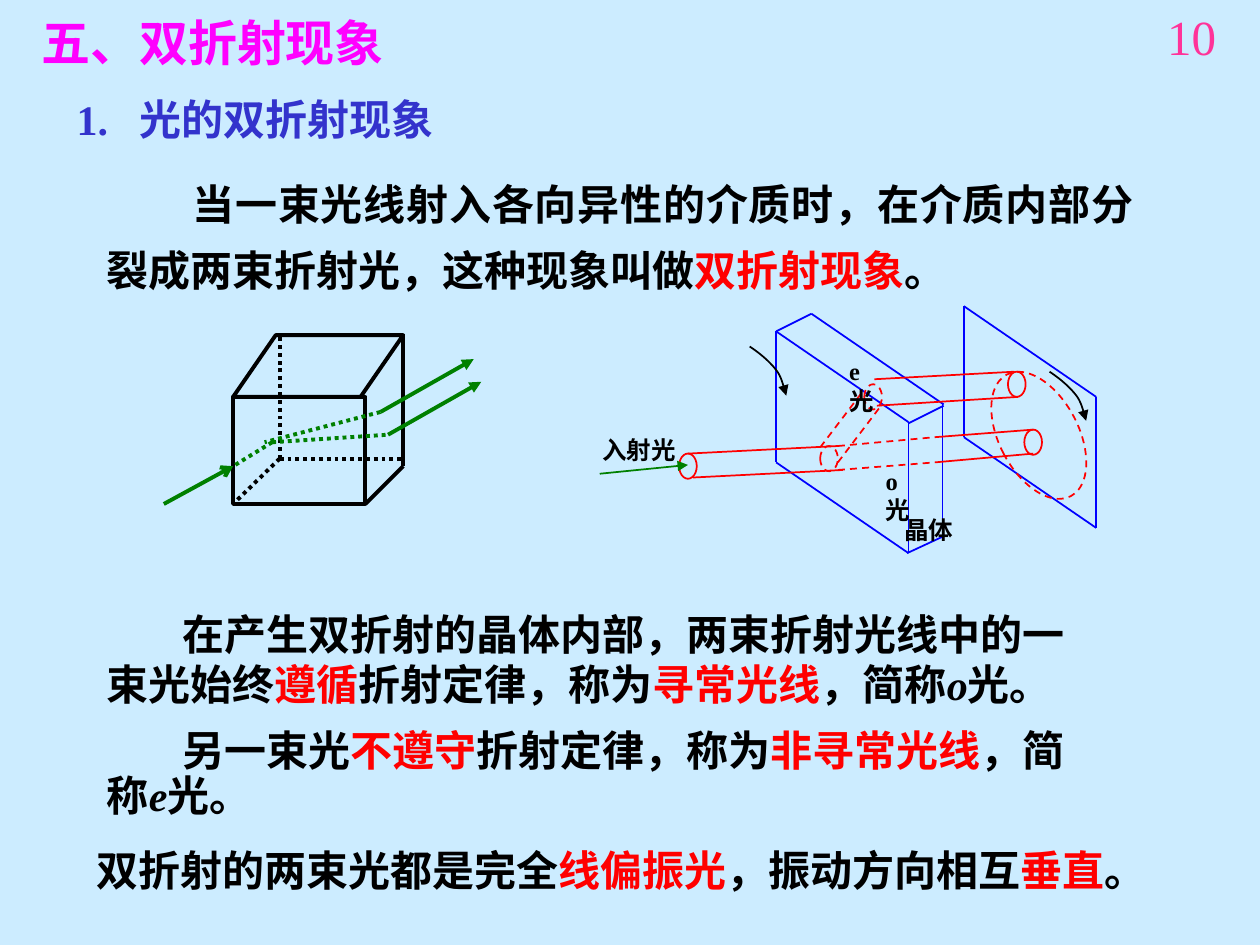
from dataclasses import dataclass
from typing import Any

from lxml import etree
from pptx import Presentation
from pptx.dml.color import RGBColor
from pptx.enum.dml import MSO_LINE
from pptx.enum.shapes import MSO_CONNECTOR, MSO_SHAPE
from pptx.enum.text import PP_ALIGN
from pptx.oxml.ns import qn
from pptx.util import Inches, Pt

COLUMNS, ROWS = 1000, 750
CELL = Inches(10) // COLUMNS
LATIN, HAN = "Times New Roman", "Noto Sans CJK SC"
COLORS = {"sky": "CCECFF", "page": "FF3399", "title": "FF00FF", "heading": "3333CC",
          "ink": "000000", "key": "FF0000", "ray": "008000", "beam": "FF0000", "glass": "0000FF"}
STRAIGHT = MSO_CONNECTOR.STRAIGHT
OVAL, RECT, SLANTED = MSO_SHAPE.OVAL, MSO_SHAPE.RECTANGLE, MSO_SHAPE.PARALLELOGRAM
DASH, DOT = MSO_LINE.DASH, MSO_LINE.ROUND_DOT
LEFT, RIGHT, JUSTIFY = PP_ALIGN.LEFT, PP_ALIGN.RIGHT, PP_ALIGN.JUSTIFY


@dataclass
class Region:
    """A set of shapes whose cells are counted from a corner of the slide grid."""
    shapes: Any
    left: int = 0
    top: int = 0

    def place(self, column, row):
        """Turn a cell of this region into slide lengths."""
        return round((self.left + column) * CELL), round((self.top + row) * CELL)


def color(name):
    """Look up a palette colour."""
    return RGBColor.from_string(COLORS[name])


def stroke(shape, name, width, dash=None, arrow=None):
    """Style an outline, with an optional arrowhead at its end."""
    shape.line.color.rgb = color(name)
    shape.line.width = Pt(width)
    if dash:
        shape.line.dash_style = dash
    properties = shape._element.spPr
    if arrow:
        etree.SubElement(properties.find(qn("a:ln")), qn("a:tailEnd"), type=arrow)
    if properties.find(qn("a:effectLst")) is None:
        etree.SubElement(properties, qn("a:effectLst"))


def segment(region, start, end, name, width, dash=None, arrow=None):
    """Draw a straight line between two cells."""
    line = region.shapes.add_connector(STRAIGHT, *region.place(*start), *region.place(*end))
    stroke(line, name, width, dash, arrow)


def outline(region, kind, box, name, width, dash=None):
    """Draw an unfilled preset shape."""
    left, top, across, down = box
    shape = region.shapes.add_shape(kind, *region.place(left, top), across * CELL, down * CELL)
    shape.fill.background()
    stroke(shape, name, width, dash)
    return shape


def write(region, box, paragraphs, size=24, tone="ink", bold=True, latin=LATIN, align=LEFT,
          spacing=(1,), gap=0, margin=0, indent=0):
    """Write paragraphs of (text, style) runs; styles are key, italic or plain."""
    left, top, across, down = box
    frame = region.shapes.add_textbox(*region.place(left, top), across * CELL, down * CELL).text_frame
    frame.word_wrap = True
    for index, runs in enumerate(paragraphs):
        paragraph = frame.paragraphs[0] if index == 0 else frame.add_paragraph()
        paragraph.alignment = align
        paragraph.line_spacing = spacing[index]
        paragraph.space_before = Pt(gap if index else 0)
        layout = paragraph._p.get_or_add_pPr()
        layout.set("marL", str(margin * CELL))
        layout.set("indent", str(indent * CELL))
        for text, style in runs:
            run = paragraph.add_run()
            run.text = text
            run.font.size, run.font.bold, run.font.name = Pt(size), bold, latin
            run.font.italic = style == "italic"
            run.font.color.rgb = color("key" if style == "key" else tone)
            etree.SubElement(run._r.get_or_add_rPr(), qn("a:ea"), typeface=HAN)


def header(region):
    """Place the page number, title and section heading."""
    write(region, (767, 0, 208, 50), [[("10", "")]], size=28, tone="page", bold=False, align=RIGHT)
    write(region, (23, 5, 429, 57), [[("五、双折射现象", "")]], size=28, tone="title", latin=HAN)
    write(region, (51, 69, 567, 50), [[("1.\t光的双折射现象", "")]], tone="heading",
          margin=50, indent=-50)


def definition(region):
    """State what double refraction is."""
    write(region, (0, 0, 835, 114), [[
        ("当一束光线射入各向异性的介质时，在介质内部分裂成两束折射光，这种现象叫做", ""),
        ("双折射现象", "key"), ("。", "")]], align=JUSTIFY, spacing=(1.3,), indent=68)


def explanation(region):
    """Describe the ordinary and extraordinary rays and their polarisation."""
    ordinary = [("在产生双折射的晶体内部，两束折射光线中的一束光始终", ""), ("遵循", "key"),
                ("折射定律，称为", ""), ("寻常光线", "key"), ("，简称", ""),
                ("o", "italic"), ("光。", "")]
    extraordinary = [("另一束光", ""), ("不遵守", "key"), ("折射定律，称为", ""),
                     ("非寻常光线", "key"), ("，简称", ""), ("e", "italic"), ("光。", "")]
    polarisation = [("双折射的两束光都是完全", ""), ("线偏振光", "key"),
                    ("，振动方向相互", ""), ("垂直", "key"), ("。", "")]
    write(region, (8, 0, 803, 182), [ordinary, extraordinary], spacing=(1, 0.9), gap=12, indent=60)
    write(region, (0, 179, 890, 58), [polarisation], spacing=(1.2,))


def crystal_cube(region):
    """Draw a ray splitting in two inside a transparent block."""
    corner, back_top, back_right = (92, 98), (92, 0), (190, 104)
    entry, split, upper, lower = (55, 104), (86, 85), (172, 61), (178, 79)
    for end in ((190, 98), back_top, (55, 134)):
        segment(region, corner, end, "ink", 2.25, DOT)
    for start, end in (((190, 0), back_right), (back_right, (160, 134))):
        segment(region, start, end, "ink", 2.25)
    outline(region, RECT, (55, 49, 105, 85), "ink", 2.25)
    outline(region, SLANTED, (55, 0, 135, 49), "ink", 2.25).adjustments[0] = 0.69
    for start, end in ((split, lower), (upper, (80, 85)), (split, entry)):
        segment(region, start, end, "ray", 2.25, DOT)
    for column, row in (upper, lower):
        segment(region, (column, row), (column + 74, row - 42), "ray", 2.25, arrow="triangle")
    segment(region, (0, 134), entry, "ray", 2.25, arrow="arrow")


def panel(region, column, row):
    """Draw an upright slanted panel from its top left corner."""
    across, down, height = 105, 72, 104
    for drop in (0, height):
        segment(region, (column, row + drop), (column + across, row + down + drop), "glass", 1)
    for side, fall in ((0, 0), (across, down)):
        segment(region, (column + side, row + fall),
                (column + side, row + fall + height), "glass", 1)


def bezier(points, steps=12):
    """Sample a cubic curve."""
    for step in range(1, steps + 1):
        t = step / steps
        weights = ((1 - t) ** 3, 3 * t * (1 - t) ** 2, 3 * t * t * (1 - t), t ** 3)
        yield tuple(sum(w * p[axis] for w, p in zip(weights, points)) for axis in (0, 1))


def pointer(region, column, row):
    """Draw a curved arrow that points down to a panel."""
    curve = ((0, 0), (9, 6), (17, 13), (22, 20), (26, 26), (27, 33), (29, 39))
    track = [region.place(column + x, row + y)
             for half in (curve[:4], curve[3:]) for x, y in bezier(half)]
    builder = region.shapes.build_freeform(*region.place(column, row))
    builder.add_line_segments(track, close=False)
    arrow = builder.convert_to_shape()
    arrow.fill.background()
    stroke(arrow, "ink", 1, arrow="triangle")


def beam_figure(region):
    """Draw a beam that a crystal splits into o and e beams on a screen."""
    panel(region, 146, 23)
    for start, end in (((146, 23), (174, 9)), ((174, 9), (279, 81)), ((251, 96), (279, 82)),
                       ((278, 81), (278, 185)), ((250, 199), (278, 186))):
        segment(region, start, end, "glass", 1)
    panel(region, 295, 3)
    for start, end, dash in (
            ((76, 120), (195, 114), None), ((80, 139), (199, 133), None),
            ((195, 133), (272, 127), DASH), ((195, 114), (272, 107), DASH),
            ((272, 127), (350, 120), None), ((272, 107), (350, 101), None),
            ((181, 115), (216, 69), DASH), ((195, 127), (230, 81), DASH),
            ((224, 61), (335, 55), None), ((226, 82), (338, 75), None)):
        segment(region, start, end, "beam", 1, dash)
    for column, row, dash in ((69, 120, None), (181, 114, DASH), (343, 101, None),
                              (216, 65, DASH), (330, 55, None)):
        outline(region, OVAL, (column, row, 14, 20), "beam", 1, dash)
    outline(region, OVAL, (323, 51, 63, 109), "beam", 1, DASH).rotation = 332.3
    pointer(region, 363, 55)
    pointer(region, 125, 35)
    segment(region, (6, 136), (76, 129), "ray", 1, arrow="triangle")
    for label, column, row, across in (("晶体", 238, 164, 66), ("e光", 194, 38, 47),
                                       ("o光", 223, 125, 47), ("入射光", -2, 100, 90)):
        write(region, (column, row, across, 33), [[(label, "")]], size=14)


def main():
    """Build and save the slide."""
    deck = Presentation()
    deck.slide_width, deck.slide_height = COLUMNS * CELL, ROWS * CELL
    slide = deck.slides.add_slide(deck.slide_layouts[6])
    slide.background.fill.solid()
    slide.background.fill.fore_color.rgb = color("sky")
    shapes = slide.shapes
    header(Region(shapes))
    explanation(Region(shapes, 67, 478))
    crystal_cube(Region(shapes.add_group_shape().shapes, 130, 266))
    definition(Region(shapes, 75, 125))
    beam_figure(Region(shapes.add_group_shape().shapes, 470, 240))
    deck.save("out.pptx")


if __name__ == "__main__":
    main()
